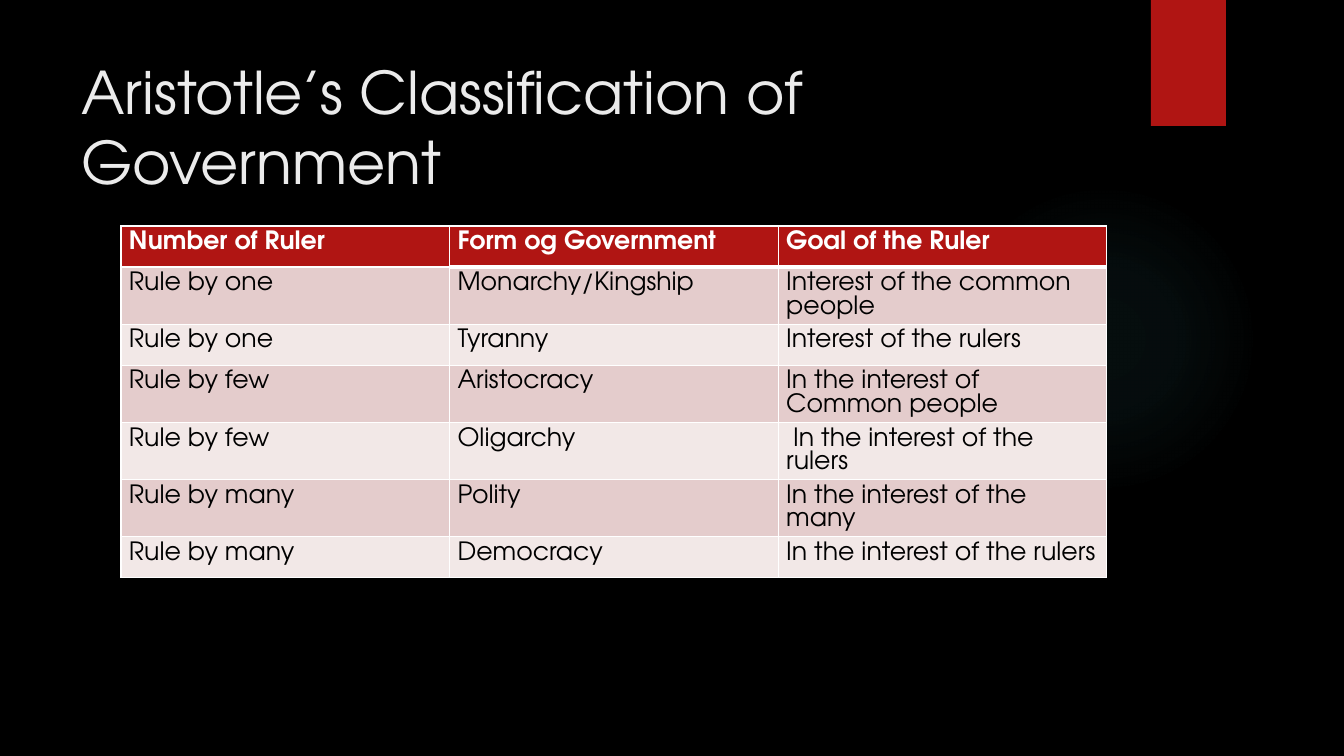
from lxml.etree import fromstring as parse_xml
from pptx import Presentation as Deck
from pptx.dml.color import RGBColor as Rgb
from pptx.enum.shapes import MSO_SHAPE as Kind
from pptx.enum.text import MSO_ANCHOR as Anchor, PP_ALIGN as Align
from pptx.util import Pt

SCALE = 12192000 / 1344
FONT = "TeX Gyre Adventor"
NS = "http://schemas.openxmlformats.org/drawingml/2006/main"
HUE = {
    "back": "000000", "glow": "50B9C1", "red": "B01513", "title": "EBEBEB",
    "white": "FFFFFF", "ink": "000000", "odd": "E4CCCC", "even": "F2E8E7",
}
ROWS = [
    ("Number of Ruler", "Form og Government", "Goal of the Ruler"),
    ("Rule by one", "Monarchy/Kingship", "Interest of the common people"),
    ("Rule by one", "Tyranny", "Interest of the rulers"),
    ("Rule by few", "Aristocracy", "In the interest of Common people"),
    ("Rule by few", "Oligarchy", " In the interest of the rulers"),
    ("Rule by many", "Polity", "In the interest of the many"),
    ("Rule by many", "Democracy", "In the interest of the rulers"),
]


def px(n):
    return round(n * SCALE)


def paint(fill, hue):
    fill.solid()
    fill.fore_color.rgb = Rgb.from_string(HUE[hue])


def write(frame, text, size=18, hue="ink", bold=False):
    frame.word_wrap = True
    para = frame.paragraphs[0]
    para.alignment = Align.LEFT
    run = para.add_run()
    run.text = text
    font = run.font
    font.name, font.size, font.bold = FONT, Pt(size), bold
    font.color.rgb = Rgb.from_string(HUE[hue])


def add_form(slide, kind, *box):
    form = slide.shapes.add_shape(kind, *map(px, box))
    form.shadow.inherit = False
    form.line.fill.background()
    paint(form.fill, "red")
    return form


def add_glow(slide, *box):
    form = add_form(slide, Kind.OVAL, *box)
    stops = "".join(
        f'<a:gs pos="{pos}000"><a:srgbClr val="{HUE["glow"]}">'
        f'<a:alpha val="{alpha}000"/></a:srgbClr></a:gs>'
        for pos, alpha in ((0, 7), (36, 6), (69, 0))
    )
    grad = parse_xml(
        f'<a:gradFill xmlns:a="{NS}"><a:gsLst>{stops}</a:gsLst><a:path path="circle">'
        '<a:fillToRect l="50000" t="50000" r="50000" b="50000"/></a:path></a:gradFill>'
    )
    props = form.element.spPr
    props.replace(props.find(f"{{{NS}}}solidFill"), grad)


def edge(cell, top, low):
    props = cell._tc.get_or_add_tcPr()
    for spot, (side, width) in enumerate(zip("LRTB", (1, 1, top, low))):
        props.insert(spot, parse_xml(
            f'<a:ln{side} xmlns:a="{NS}" w="{Pt(width)}"><a:solidFill>'
            f'<a:srgbClr val="{HUE["white"]}"/></a:solidFill></a:ln{side}>'
        ))


def add_grid(slide, left, top, width, pitch):
    size = len(ROWS), len(ROWS[0])
    box = left, top, width, pitch * len(ROWS)
    grid = slide.shapes.add_table(*size, *map(px, box)).table
    grid.horz_banding = False
    for r, row in enumerate(ROWS):
        grid.rows[r].height = px(pitch)
        head = r == 0
        for c, text in enumerate(row):
            cell = grid.cell(r, c)
            cell.margin_left = cell.margin_right = px(8)
            paint(cell.fill, "red" if head else "odd" if r % 2 else "even")
            edge(cell, 3 if r == 1 and c else 1, 3 if head and c else 1)
            write(cell.text_frame, text, hue="white" if head else "ink", bold=head)


def main():
    deck = Deck()
    deck.slide_width, deck.slide_height = px(1344), px(756)
    slide = deck.slides.add_slide(deck.slide_layouts[5])
    paint(slide.background.fill, "back")
    add_glow(slide, 949, 184, 310, 310)
    add_form(slide, Kind.RECTANGLE, 1151, 0, 75, 126)
    title = slide.shapes.title
    title.left, title.top, title.width, title.height = map(px, (71, 49, 1037, 154))
    frame = title.text_frame
    frame.vertical_anchor = Anchor.MIDDLE
    write(frame, "Aristotle’s Classification of Government", size=42, hue="title")
    add_grid(slide, 121, 226, 986, 41)
    deck.save("out.pptx")


if __name__ == "__main__":
    main()
